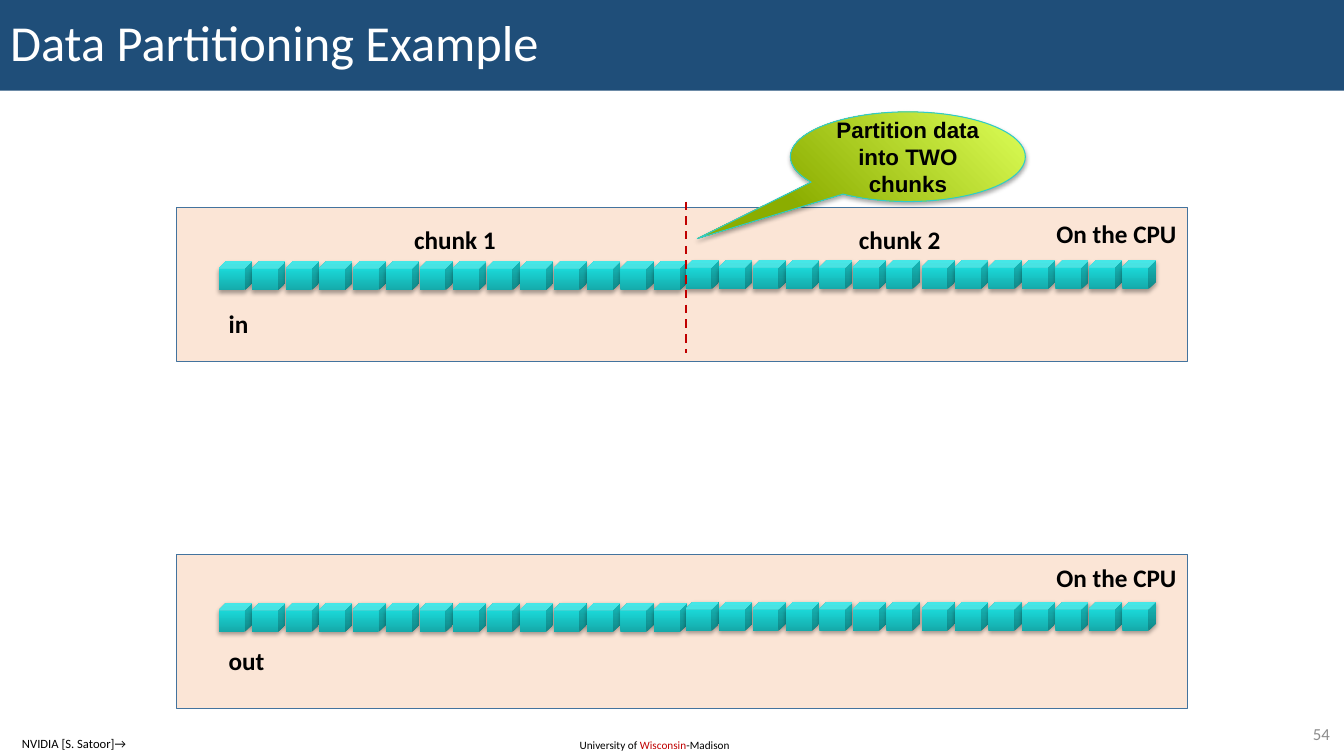
import pptx
import pptx.dml.color
import pptx.enum.dml
import pptx.enum.shapes
import pptx.enum.text
import pptx.oxml
import pptx.oxml.ns
import pptx.util

Inches = pptx.util.Inches
Pt = pptx.util.Pt
RGBColor = pptx.dml.color.RGBColor
Shape = pptx.enum.shapes.MSO_SHAPE
Align = pptx.enum.text.PP_ALIGN
Anchor = pptx.enum.text.MSO_ANCHOR

BLACK = RGBColor(0x00, 0x00, 0x00)
WHITE = RGBColor(0xFF, 0xFF, 0xFF)
GRAY = RGBColor(0x8C, 0x8C, 0x8C)
RED = RGBColor(0xC0, 0x00, 0x00)
NAVY = RGBColor(0x1F, 0x4E, 0x79)
PEACH = RGBColor(0xFB, 0xE5, 0xD6)
PANEL_EDGE = RGBColor(0x43, 0x73, 0x9E)
TEAL_EDGE = RGBColor(0x2E, 0xCB, 0xCB)
TEAL_DARK = RGBColor(0x15, 0xA9, 0xA9)
TEAL = RGBColor(0x1B, 0xDC, 0xDC)
TEAL_LIGHT = RGBColor(0x18, 0xE1, 0xE1)
LIME_DARK = RGBColor(0x8B, 0xAD, 0x00)
LIME = RGBColor(0xDE, 0xFF, 0x58)

UPWARD = '<a:lin ang="16200000" scaled="0"/>'
FROM_BOTTOM_LEFT = (
    '<a:path path="circle"><a:fillToRect t="100000" r="100000"/></a:path>'
)
PANEL_WIDTH, PANEL_HEIGHT = 10.03, 1.53
CUBE_PITCH = 0.332
# (offset from the panel's left edge, lift, number of cubes)
CUBE_GROUPS = [(0.42, 0, 14), (5.05, 0.01, 7), (7.39, 0.01, 7)]


def inch_box(left, top, width, height):
    return [Inches(length) for length in (left, top, width, height)]


def write_text(shape, *pieces, size=18, font="Calibri", color=BLACK, bold=False,
               align=Align.LEFT, anchor=Anchor.TOP, wrap=True, line_spacing=None):
    """Write one paragraph; a piece is a string or a (string, colour) pair."""
    frame = shape.text_frame
    frame.word_wrap = wrap
    frame.vertical_anchor = anchor
    paragraph = frame.paragraphs[0]
    paragraph.alignment = align
    paragraph.line_spacing = line_spacing
    for piece in pieces:
        text, run_color = (piece, color) if isinstance(piece, str) else piece
        run = paragraph.add_run()
        run.text = text
        run.font.size = Pt(size)
        run.font.name = font
        run.font.bold = bold
        run.font.color.rgb = run_color


def add_label(slide, box, *pieces, **text_format):
    label = slide.shapes.add_textbox(*inch_box(*box))
    write_text(label, *pieces, **text_format)


def drawing_xml(tag, content, attributes=""):
    namespace = pptx.oxml.ns.nsdecls("a")
    return pptx.oxml.parse_xml(
        f"<a:{tag} {namespace} {attributes}>{content}</a:{tag}>")


def set_gradient(shape, stops, direction):
    shape.fill.background()
    properties = shape._element.spPr
    stop_list = "".join(
        f'<a:gs pos="{percent * 1000}"><a:srgbClr val="{color}"/></a:gs>'
        for percent, color in stops)
    properties.replace(
        properties.find(pptx.oxml.ns.qn("a:noFill")),
        drawing_xml("gradFill", f"<a:gsLst>{stop_list}</a:gsLst>{direction}",
                    'rotWithShape="1"'))


def set_soft_shadow(shape):
    shape.shadow.inherit = False
    effects = shape._element.spPr.find(pptx.oxml.ns.qn("a:effectLst"))
    effects.append(drawing_xml(
        "outerShdw",
        f'<a:srgbClr val="{BLACK}"><a:alpha val="35000"/></a:srgbClr>',
        'blurRad="40000" dist="23000" dir="5400000" rotWithShape="0"'))


def add_cube(slide, left, top):
    cube = slide.shapes.add_shape(Shape.CUBE, *inch_box(left, top, 0.33, 0.29))
    set_gradient(cube, [(0, TEAL_DARK), (80, TEAL), (100, TEAL_LIGHT)], UPWARD)
    cube.line.fill.background()
    set_soft_shadow(cube)


def add_cpu_panel(slide, left, top, array_name, cubes_offset, name_offset,
                  place_offset):
    """Draw one array in its panel; the offsets run down from the panel top."""
    panel = slide.shapes.add_shape(
        Shape.RECTANGLE, *inch_box(left, top, PANEL_WIDTH, PANEL_HEIGHT))
    panel.shadow.inherit = False
    panel.fill.solid()
    panel.fill.fore_color.rgb = PEACH
    panel.line.color.rgb = PANEL_EDGE
    panel.line.width = Pt(1)
    for group_offset, lift, count in CUBE_GROUPS:
        for index in range(count):
            add_cube(slide, left + group_offset + index * CUBE_PITCH,
                     top + cubes_offset - lift)
    add_label(slide, (left + 0.42, top + name_offset, 0.64, 0.4), array_name,
              bold=True)
    add_label(slide, (left + PANEL_WIDTH - 1.4, top + place_offset, 1.4, 0.4),
              "On the CPU", bold=True, wrap=False)


def add_partition(slide, left, top):
    """Mark the split of the panel at left, top and name its two chunks."""
    split = Inches(left + 5.05)
    divider = slide.shapes.add_connector(
        pptx.enum.shapes.MSO_CONNECTOR.STRAIGHT,
        split, Inches(top - 0.06), split, Inches(top + 1.44))
    divider.line.color.rgb = RED
    divider.line.width = Pt(1.5)
    divider.line.dash_style = pptx.enum.dml.MSO_LINE.DASH
    divider._element.spPr.append(drawing_xml("effectLst", ""))

    callout = slide.shapes.add_shape(
        Shape.OVAL_CALLOUT, *inch_box(left + 6.09, top - 0.95, 2.33, 0.89))
    callout.adjustments[0] = -0.896
    callout.adjustments[1] = 0.912
    set_gradient(callout, [(0, LIME_DARK), (100, LIME)], FROM_BOTTOM_LEFT)
    callout.line.color.rgb = TEAL_EDGE
    callout.line.width = Pt(0.75)
    set_soft_shadow(callout)
    write_text(callout, "Partition data into TWO chunks", size=16, font="Arial",
               bold=True, align=Align.CENTER, anchor=Anchor.MIDDLE)

    for chunk_name, offset in (("chunk 1", 2.26), ("chunk 2", 6.67)):
        add_label(slide, (left + offset, top + 0.12, 1.24, 0.4), chunk_name,
                  bold=True)


def format_title(slide, box):
    title = slide.shapes.title
    title.left, title.top, title.width, title.height = inch_box(*box)
    title.fill.solid()
    title.fill.fore_color.rgb = NAVY
    write_text(title, "Data Partitioning Example", size=36, color=WHITE,
               anchor=Anchor.MIDDLE, line_spacing=0.9)


def add_footer(slide, top):
    add_label(slide, (0.12, top + 0.12, 1.23, 0.25), "NVIDIA [S. Satoor]→",
              size=9, wrap=False)
    add_label(slide, (5.65, top + 0.15, 1.72, 0.24),
              "University of ", ("Wisconsin", RED), "-Madison", size=8)
    add_label(slide, (12.53, top, 0.76, 0.29), "54", size=12, color=GRAY,
              align=Align.RIGHT, anchor=Anchor.MIDDLE)


def main():
    deck = pptx.Presentation()
    deck.slide_width = Inches(13.33)
    deck.slide_height = Inches(7.5)
    slide = deck.slides.add_slide(deck.slide_layouts[5])
    format_title(slide, (0, 0, 13.33, 0.9))
    add_cpu_panel(slide, 1.75, 5.5, "out", cubes_offset=0.48,
                  name_offset=0.85, place_offset=0.03)
    add_cpu_panel(slide, 1.75, 2.06, "in", cubes_offset=0.53,
                  name_offset=0.95, place_offset=0.06)
    add_partition(slide, 1.75, 2.06)
    add_footer(slide, 7.13)
    deck.save("out.pptx")


if __name__ == "__main__":
    main()
